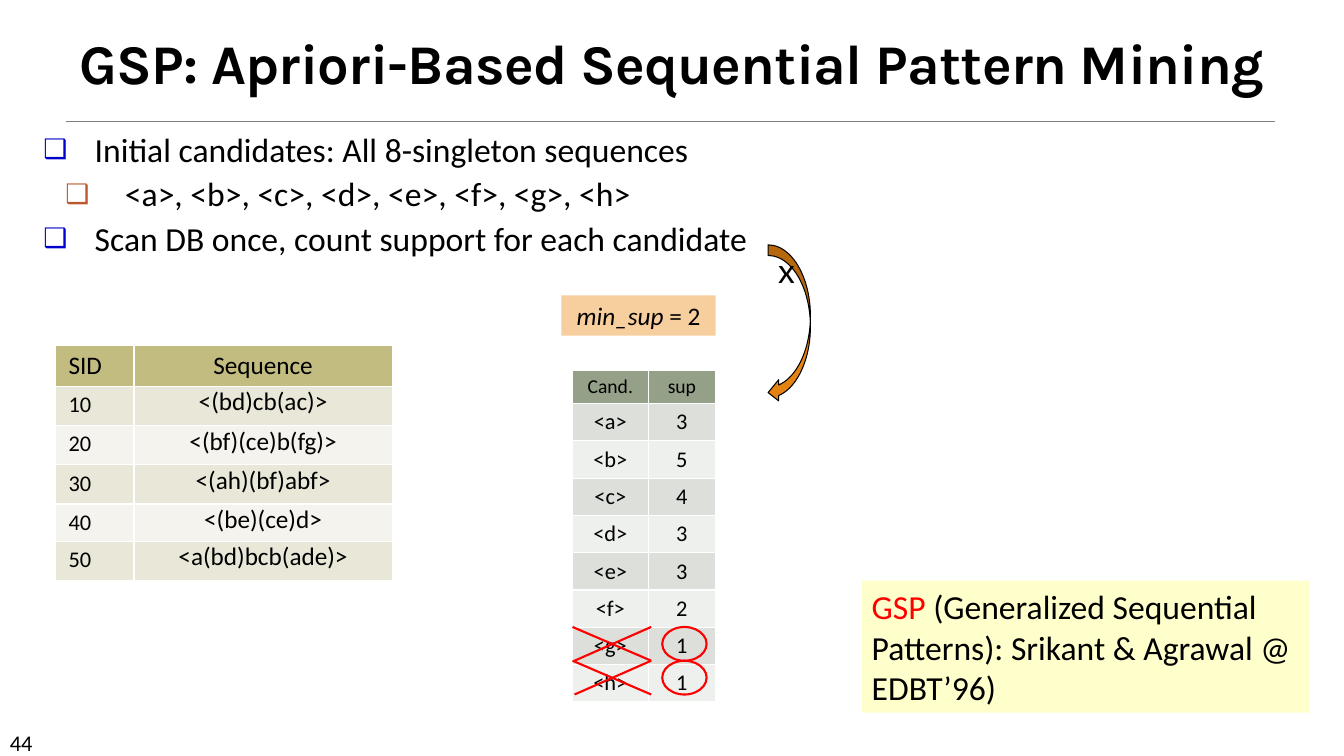
from dataclasses import dataclass
from typing import Any, Optional

import lxml.etree
import pptx
import pptx.dml.color
import pptx.enum.shapes
import pptx.enum.text
import pptx.oxml.ns
import pptx.util

GRID_COLUMNS = 133.33
GRID_ROWS = 75
GRID_STEP = pptx.util.Inches(0.1)
BLACK = "000000"
RED = "FF0000"
ALIGN = pptx.enum.text.PP_ALIGN
ANCHOR = pptx.enum.text.MSO_ANCHOR
SHAPE = pptx.enum.shapes.MSO_SHAPE


@dataclass(frozen=True)
class Area:
    column: float
    row: float
    columns: float
    rows: float


@dataclass(frozen=True)
class Phrase:
    text: str
    size: float
    color: str = BLACK
    font: str = "Calibri"
    bold: bool = False
    italic: bool = False


@dataclass(frozen=True)
class Point:
    text: str
    level: int
    indent: float
    hanging: float
    bullet_color: str


@dataclass(frozen=True)
class Listing:
    area: Area
    widths: tuple[float, ...]
    heights: tuple[float, ...]
    entries: tuple[tuple[str, ...], ...]
    header_size: float
    column_sizes: tuple[float, ...]
    alignments: tuple[Any, ...]
    spacings: tuple[float, ...]
    header_fill: str
    band_fills: tuple[str, str]


def grid(steps: float) -> int:
    return round(steps * GRID_STEP)


def rgb(color: str) -> pptx.dml.color.RGBColor:
    return pptx.dml.color.RGBColor.from_string(color)


def apply_format(target: Any, values: dict[str, Any]) -> None:
    for attribute, value in values.items():
        setattr(target, attribute, value)


def place(area: Area) -> tuple[int, int, int, int]:
    return grid(area.column), grid(area.row), grid(area.columns), grid(area.rows)


def move(target: Any, area: Area) -> None:
    apply_format(target, dict(zip(("left", "top", "width", "height"), place(area))))


def write(paragraph: Any, phrases: list[Phrase], align: Any = ALIGN.LEFT, spacing: float = 1.0) -> None:
    apply_format(paragraph, {"alignment": align, "line_spacing": spacing})
    for phrase in phrases:
        run = paragraph.add_run()
        run.text = phrase.text
        apply_format(run.font, {
            "size": pptx.util.Pt(phrase.size), "name": phrase.font,
            "bold": phrase.bold, "italic": phrase.italic,
        })
        run.font.color.rgb = rgb(phrase.color)


def add_bullet(paragraph: Any, point: Point) -> None:
    properties = paragraph._p.get_or_add_pPr()
    properties.set("marL", str(grid(point.indent)))
    properties.set("indent", str(-grid(point.hanging)))
    qn = pptx.oxml.ns.qn
    bullet_color = lxml.etree.SubElement(properties, qn("a:buClr"))
    lxml.etree.SubElement(bullet_color, qn("a:srgbClr")).set("val", point.bullet_color)
    lxml.etree.SubElement(properties, qn("a:buSzPct")).set("val", "80000")
    lxml.etree.SubElement(properties, qn("a:buChar")).set("char", "❑")


def add_line(slide: Any, start: tuple[float, float], end: tuple[float, float], color: str, width: float) -> None:
    line = slide.shapes.add_connector(
        pptx.enum.shapes.MSO_CONNECTOR.STRAIGHT, *map(grid, start + end))
    line.line.color.rgb = rgb(color)
    line.line.width = pptx.util.Pt(width)
    lxml.etree.SubElement(line._element.spPr, pptx.oxml.ns.qn("a:effectLst"))


def add_figure(slide: Any, kind: Any, area: Area, fill: Optional[str] = None,
               outline: Optional[str] = None, width: float = 1) -> Any:
    figure = slide.shapes.add_shape(kind, *place(area))
    figure.shadow.inherit = False
    for part, color in ((figure.fill, fill), (figure.line.fill, outline)):
        if color:
            part.solid()
            part.fore_color.rgb = rgb(color)
        else:
            part.background()
    if outline:
        figure.line.width = pptx.util.Pt(width)
    return figure


def add_listing(slide: Any, listing: Listing) -> None:
    table = slide.shapes.add_table(
        len(listing.heights), len(listing.widths), *place(listing.area)).table
    for column, width in zip(table.columns, listing.widths):
        column.width = grid(width)
    for row, height in zip(table.rows, listing.heights):
        row.height = grid(height)
    for row_index, entry in enumerate(listing.entries):
        header = row_index == 0
        fill = listing.header_fill if header else listing.band_fills[(row_index - 1) % 2]
        for column_index, text in enumerate(entry):
            cell = table.cell(row_index, column_index)
            apply_format(cell, {"margin_left": grid(1.3), "margin_right": grid(1.3)})
            cell.fill.solid()
            cell.fill.fore_color.rgb = rgb(fill)
            size = listing.header_size if header else listing.column_sizes[column_index]
            spacing = 1.0 if header else listing.spacings[column_index]
            write(cell.text_frame.paragraphs[0], [Phrase(text, size)],
                  listing.alignments[column_index], spacing)


POINTS = (
    Point("Initial candidates: All 8-singleton sequences", 0, 5.1, 5.1, "0000CC"),
    Point("<a>, <b>, <c>, <d>, <e>, <f>, <g>, <h>", 1, 8.1, 5.9, "BD582C"),
    Point("Scan DB once, count support for each candidate", 0, 5.1, 5.1, "0000CC"),
)
SEQUENCES = Listing(
    Area(5.5, 34.3, 33.4, 23.3), (7.8, 25.6), (4, 3.9, 3.9, 3.9, 3.7, 3.9),
    (("SID", "Sequence"), ("10", "<(bd)cb(ac)>"), ("20", "<(bf)(ce)b(fg)>"),
     ("30", "<(ah)(bf)abf>"), ("40", "<(be)(ce)d>"), ("50", "<a(bd)bcb(ade)>")),
    18, (16, 18), (ALIGN.LEFT, ALIGN.CENTER), (1.0, 0.8), "C2BC80", ("E9E7D8", "F4F3ED"))
SUPPORTS = Listing(
    Area(56.8, 36.7, 14.2, 32.9), (7.5, 6.7), (3.3,) + (3.7,) * 8,
    (("Cand.", "sup"),) + tuple((f"<{item}>", count) for item, count in zip("abcdefgh", "35433211")),
    14, (16, 16), (ALIGN.CENTER, ALIGN.CENTER), (1.0, 1.0), "94A088", ("DCDFDA", "EEF0ED"))


def main() -> None:
    deck = pptx.Presentation()
    apply_format(deck, {"slide_width": grid(GRID_COLUMNS), "slide_height": grid(GRID_ROWS)})
    slide = deck.slides.add_slide(deck.slide_layouts[1])
    add_line(slide, (6.5, 12), (126.5, 12), "808080", 0.5)

    page_number = slide.shapes.add_textbox(*place(Area(0, 71.8, 11.7, 3)))
    page_number.text_frame.word_wrap = True
    write(page_number.text_frame.paragraphs[0], [Phrase("44", 16)])

    heading, outline = slide.placeholders
    unfitted = {"auto_size": pptx.enum.text.MSO_AUTO_SIZE.NONE, "word_wrap": True}
    move(heading, Area(0, 4.2, GRID_COLUMNS, 5.8))
    apply_format(heading.text_frame, unfitted | {"vertical_anchor": ANCHOR.BOTTOM})
    topic = heading.text_frame.paragraphs[0]
    write(topic, [Phrase("GSP: Apriori-Based Sequential Pattern Mining", 40, font="Karla", bold=True)],
          ALIGN.CENTER, 0.85)
    topic.runs[0].font._element.set("spc", "-50")

    move(outline, Area(3.3, 12.7, 82.2, 18.3))
    apply_format(outline.text_frame, unfitted | {"vertical_anchor": ANCHOR.TOP})
    for index, point in enumerate(POINTS):
        paragraph = outline.text_frame.add_paragraph() if index else outline.text_frame.paragraphs[0]
        add_bullet(paragraph, point)
        apply_format(paragraph, {"level": point.level, "space_before": pptx.util.Pt(6 if index else 0)})
        write(paragraph, [Phrase(point.text, 24)], spacing=0.9)

    add_listing(slide, SEQUENCES)
    threshold = add_figure(slide, SHAPE.RECTANGLE, Area(55.7, 29.3, 15.3, 4), "F7CE9D")
    write(threshold.text_frame.paragraphs[0],
          [Phrase("min_sup ", 18, italic=True), Phrase("= 2", 18)], ALIGN.CENTER)
    add_listing(slide, SUPPORTS)

    scan = add_figure(slide, SHAPE.CURVED_RIGHT_ARROW, Area(76.2, 24.3, 4.2, 15.7), "E48312", BLACK, 0.75)
    scan._element.spPr.xfrm.set("flipH", "1")
    for index, share in enumerate((0.25, 0.5, 0.25)):
        scan.adjustments[index] = share
    apply_format(scan.text_frame, {"word_wrap": False, "vertical_anchor": ANCHOR.TOP})
    write(scan.text_frame.paragraphs[0], [Phrase("x", 24, font="Lato")])

    for pruned in range(2):
        top = 62.2 + 3.35 * pruned
        bottom = top + 3.35
        add_line(slide, (56.8, top), (64.6, bottom), RED, 1.5)
        add_line(slide, (57, bottom), (64.6, top), RED, 1.5)
        add_figure(slide, SHAPE.OVAL, Area(65.7, top, 4.4, 3.35), outline=RED, width=1.5)

    reference = add_figure(slide, SHAPE.RECTANGLE, Area(85.5, 57.6, 44.4, 13.1), "FFFFCC")
    write(reference.text_frame.paragraphs[0], [
        Phrase("GSP ", 24, RED),
        Phrase("(Generalized Sequential Patterns): Srikant & Agrawal @ EDBT’96)", 24),
    ])
    deck.save("out.pptx")


if __name__ == "__main__":
    main()
